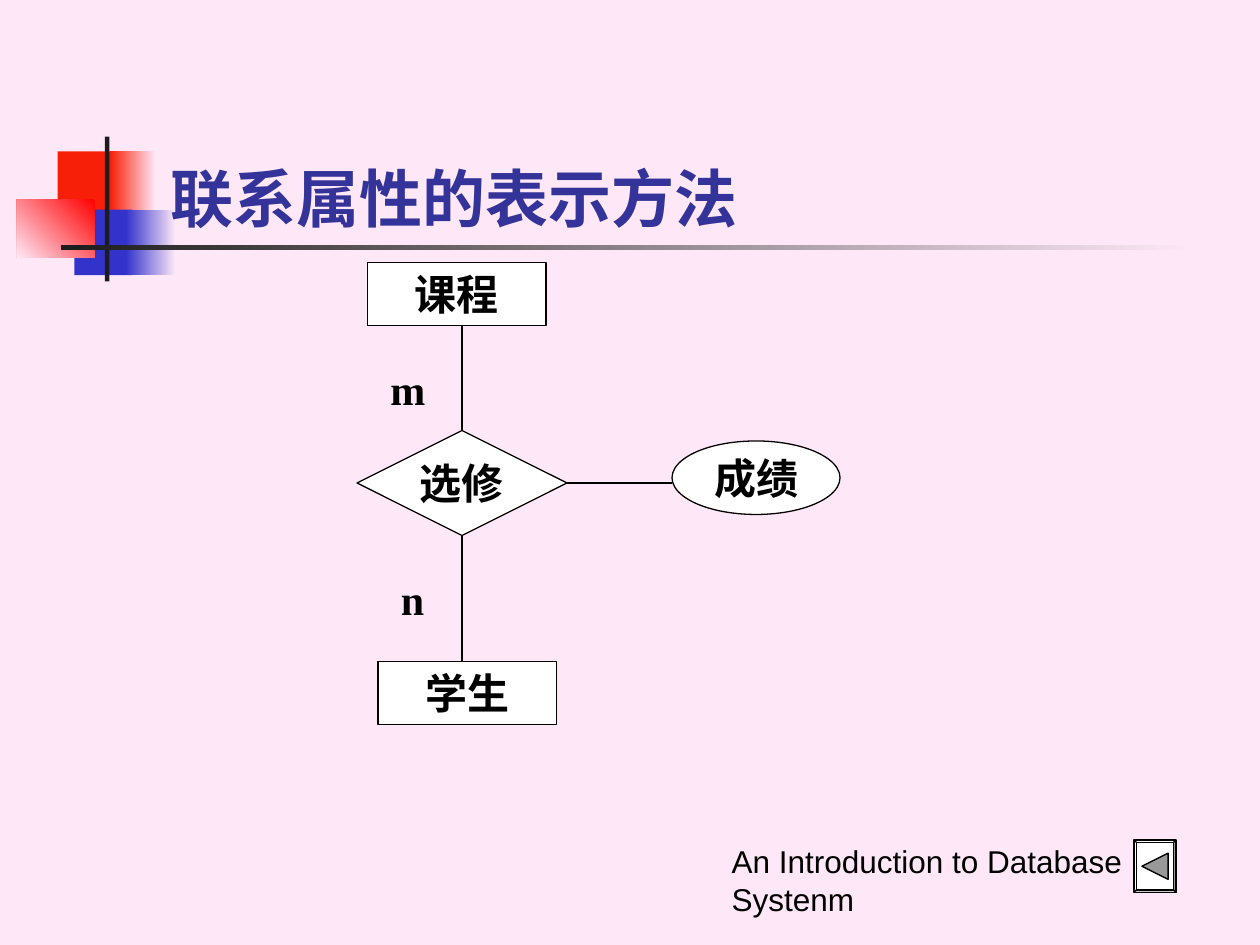
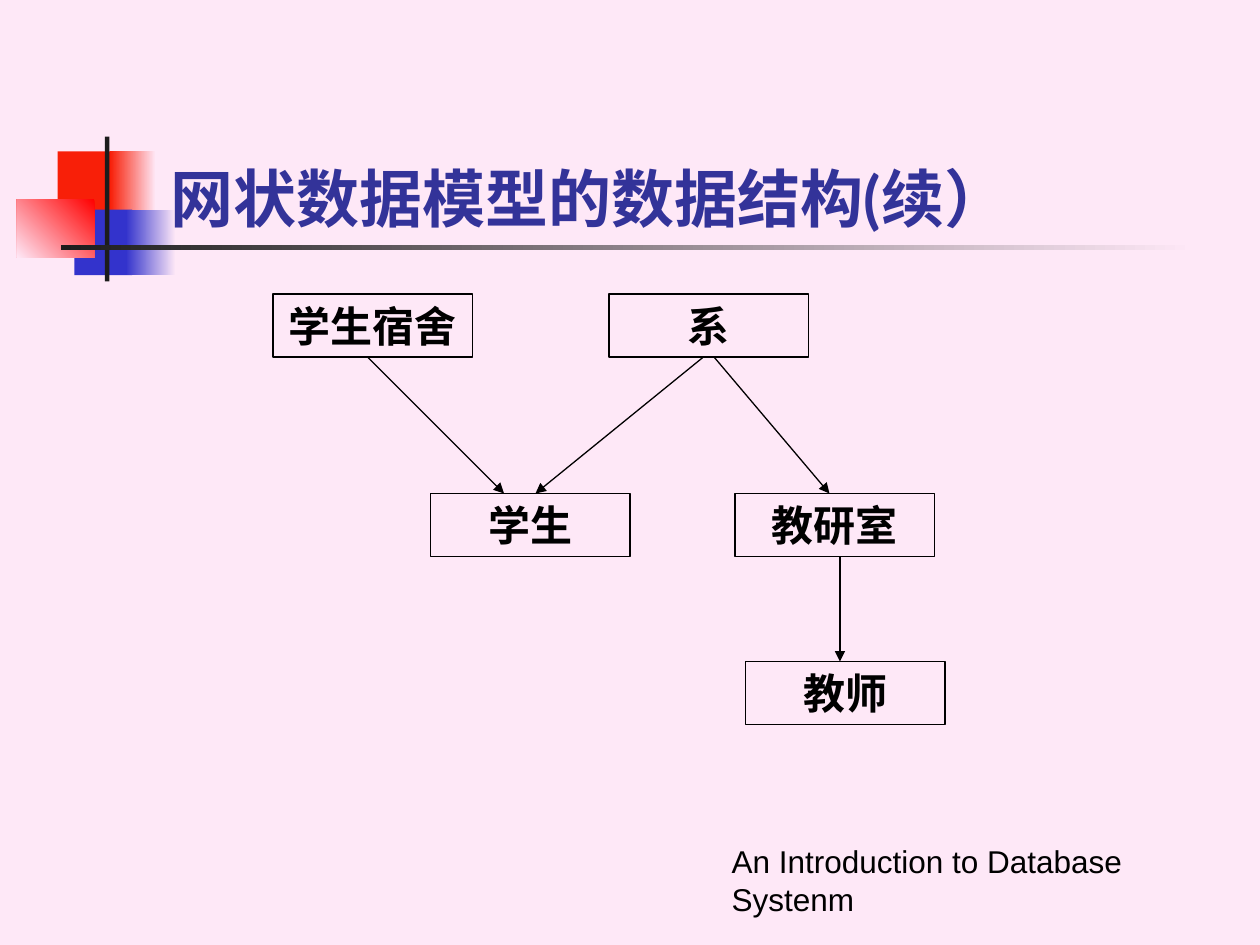
import pptx
import pptx.dml.color
import pptx.enum.shapes
import pptx.enum.text
import pptx.oxml.ns
import pptx.util
from lxml import etree

Pt = pptx.util.Pt
RGBColor = pptx.dml.color.RGBColor
SHAPE = pptx.enum.shapes.MSO_SHAPE
ANCHOR = pptx.enum.text.MSO_ANCHOR
ALIGN = pptx.enum.text.PP_ALIGN
qn = pptx.oxml.ns.qn

# Colours
PINK = RGBColor(0xFE, 0xE8, 0xF7)
ORANGE_RED = RGBColor(0xF8, 0x1F, 0x08)
RED = RGBColor(0xFF, 0x00, 0x00)
BLUE = RGBColor(0x33, 0x33, 0xCC)
TITLE_BLUE = RGBColor(0x33, 0x33, 0x99)
CHARCOAL = RGBColor(0x1C, 0x1C, 0x1C)
GREY = RGBColor(0x99, 0x99, 0x99)
BLACK = RGBColor(0x00, 0x00, 0x00)
WHITE = RGBColor(0xFF, 0xFF, 0xFF)

# Fonts
TITLE_FONT, DIAGRAM_FONT, FOOTER_FONT = "Lato", "Times New Roman", "Arial"
LINE_WIDTH = Pt(0.75)
FOOTER = "An Introduction to Database Systenm"


def write_text(shape, text, font=DIAGRAM_FONT, size=24, bold=True, color=BLACK,
               align=ALIGN.LEFT, anchor=ANCHOR.TOP, wrap=True):
    frame = shape.text_frame
    frame.word_wrap = wrap
    frame.auto_size = pptx.enum.text.MSO_AUTO_SIZE.NONE
    frame.vertical_anchor = anchor
    frame.margin_left = frame.margin_right = Pt(7.2)
    frame.margin_top = frame.margin_bottom = Pt(3.6)
    paragraph = frame.paragraphs[0]
    paragraph.alignment = align
    run = paragraph.add_run()
    run.text = text
    run.font.name, run.font.size, run.font.bold = font, Pt(size), bold
    run.font.color.rgb = color


class Deck:
    def __init__(self):
        self.presentation = pptx.Presentation()
        self.presentation.slide_width = Pt(720)
        self.presentation.slide_height = Pt(540)
        self.slide = None

    def new_slide(self, title):
        layout = self.presentation.slide_layouts.get_by_name("Title Only")
        self.slide = self.presentation.slides.add_slide(layout)
        if len(self.presentation.slides) == 1:
            self.decorate_master()
        placeholder = self.slide.shapes.title
        placeholder.left, placeholder.top = Pt(90.5), Pt(48)
        placeholder.width, placeholder.height = Pt(613.5), Pt(90)
        write_text(placeholder, title, font=TITLE_FONT, size=36,
                   color=TITLE_BLUE, anchor=ANCHOR.BOTTOM)
        self.label(FOOTER, 411, 492, 291, 36, font=FOOTER_FONT, size=18,
                   bold=False, anchor=ANCHOR.BOTTOM)

    def decorate_master(self):
        """Draw the shared ornament and move it to the slide master."""
        master = self.presentation.slide_master
        master.background.fill.solid()
        master.background.fill.fore_color.rgb = PINK
        ornament = [
            self.block(33, 86.5, 34.5, 37.5, ORANGE_RED),
            self.block(63, 86.5, 26, 37.5, PINK, ORANGE_RED),
            self.block(42.5, 119.8, 33, 37.5, BLUE),
            self.block(72, 119.8, 28.5, 37.5, PINK, BLUE),
            self.block(9.7, 113.8, 44.3, 33.5, RED, PINK, angle=225),
            self.block(60, 78, 2.5, 82.8, CHARCOAL),
            self.block(34.9, 140.2, 648, 2.5, PINK, CHARCOAL),
        ]
        for number, shape in enumerate(ornament, start=101):
            shape.element.xpath("./p:nvSpPr/p:cNvPr")[0].set("id", str(number))
            master.shapes.element.append(shape.element)

    def block(self, left, top, width, height, *colors, angle=180):
        """Add a rectangle without outline; two colours make a gradient."""
        shape = self.node(SHAPE.RECTANGLE, left, top, width, height, fill=colors[0])
        shape.line.fill.background()
        if len(colors) == 2:
            shape.fill.gradient()
            shape.fill.gradient_angle = angle
            for stop, color in zip(shape.fill.gradient_stops, colors):
                stop.color.rgb = color
        return shape

    def outline(self, shape, fill):
        shape.shadow.inherit = False
        if fill is None:
            shape.fill.background()
        else:
            shape.fill.solid()
            shape.fill.fore_color.rgb = fill
        shape.line.color.rgb = BLACK
        shape.line.width = LINE_WIDTH

    def node(self, kind, left, top, width, height, text=None, fill=None, **style):
        shape = self.slide.shapes.add_shape(
            kind, Pt(left), Pt(top), Pt(width), Pt(height))
        self.outline(shape, fill)
        if text:
            write_text(shape, text, align=ALIGN.CENTER, **style)
        return shape

    def label(self, text, left, top, width, height, **style):
        box = self.slide.shapes.add_textbox(Pt(left), Pt(top), Pt(width), Pt(height))
        write_text(box, text, **style)

    def line(self, start, end, begin=None, arrow=False):
        """Add a line; begin is an optional (shape, site) to join it to."""
        connector = self.slide.shapes.add_connector(
            pptx.enum.shapes.MSO_CONNECTOR.STRAIGHT, *map(Pt, start + end))
        if begin:
            connector.begin_connect(*begin)
        connector.line.color.rgb = BLACK
        connector.line.width = LINE_WIDTH
        properties = connector.element.find(qn("p:spPr"))
        if arrow:
            etree.SubElement(properties.find(qn("a:ln")), qn("a:tailEnd"),
                             type="triangle")
        etree.SubElement(properties, qn("a:effectLst"))

    def back_button(self, left, top, width, height):
        frame = self.node(SHAPE.BEVEL, left, top, width, height, fill=WHITE)
        frame.adjustments[0] = 0.06
        center_x, center_y, half = left + width / 2, top + height / 2, 7.5
        builder = self.slide.shapes.build_freeform(
            Pt(center_x - half), Pt(center_y))
        builder.add_line_segments([
            (Pt(center_x + half), Pt(center_y - half)),
            (Pt(center_x + half), Pt(center_y + half))])
        self.outline(builder.convert_to_shape(), GREY)


def relationship_slide(deck):
    deck.new_slide("联系属性的表示方法")

    # Entities, relationship and its attribute
    for text, left, top in (("课程", 210, 150), ("学生", 216, 378)):
        deck.node(SHAPE.RECTANGLE, left, top, 102, 36, text, WHITE)
    middle = {"fill": WHITE, "anchor": ANCHOR.MIDDLE, "wrap": False}
    relation = deck.node(SHAPE.DIAMOND, 204, 246, 120, 60, "选修", **middle)
    deck.node(SHAPE.OVAL, 384, 252, 96, 42, "成绩", **middle)

    # Links from the corners of the diamond
    deck.line((264, 246), (264, 186), begin=(relation, 0))
    deck.line((264, 306), (264, 378), begin=(relation, 2))
    deck.line((324, 276), (384, 276), begin=(relation, 3))

    # Cardinalities
    deck.label("m", 216, 204, 36, 36)
    deck.label("n", 222, 324, 30, 36)
    deck.back_button(648, 480, 24, 30)


def network_slide(deck):
    deck.new_slide("网状数据模型的数据结构(续）")

    # Record types
    for text, left, top in (("学生宿舍", 156, 168), ("系", 348, 168),
                            ("学生", 246, 282), ("教研室", 420, 282),
                            ("教师", 426, 378)):
        deck.node(SHAPE.RECTANGLE, left, top, 114, 36, text)

    # Arrows from owner to member
    for start, end in (((210, 204), (288, 282)), ((402, 204), (306, 282)),
                       ((408, 204), (474, 282)), ((480, 318), (480, 378))):
        deck.line(start, end, arrow=True)


def main():
    deck = Deck()
    relationship_slide(deck)
    network_slide(deck)
    deck.presentation.save("out.pptx")


if __name__ == "__main__":
    main()
